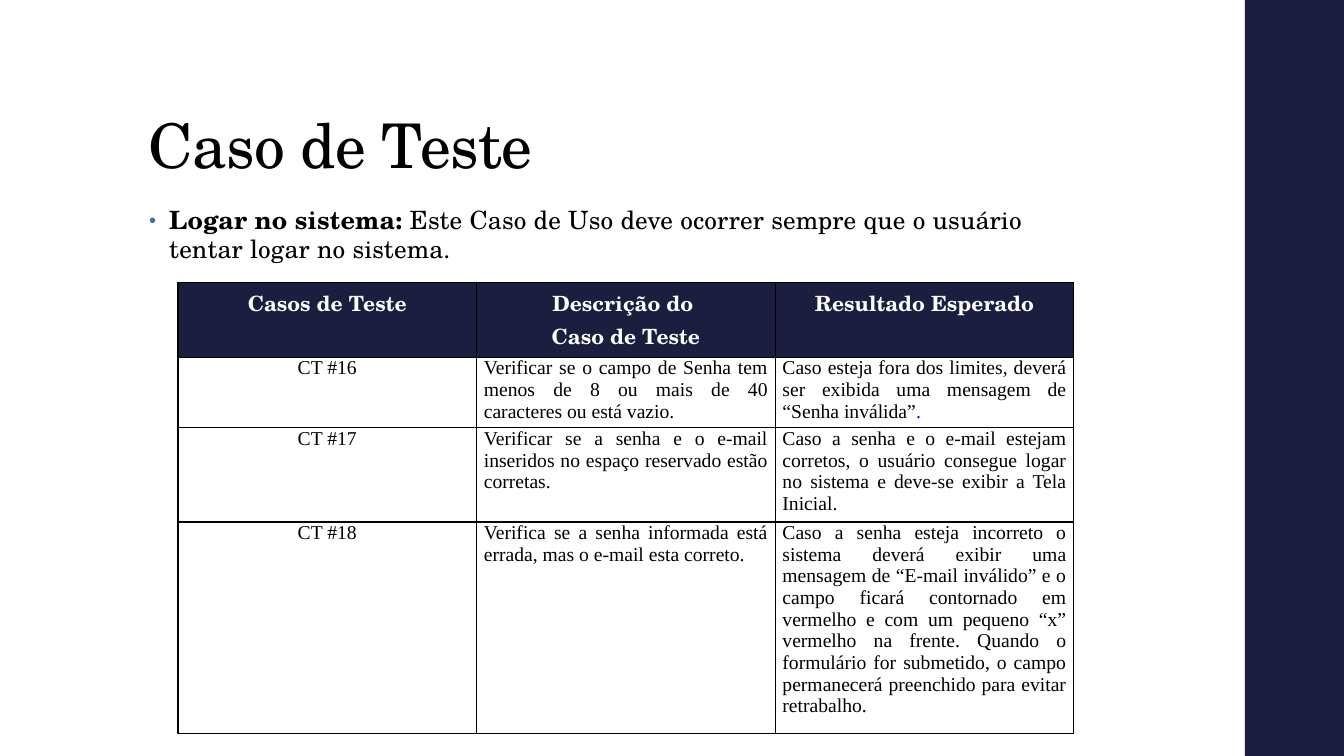
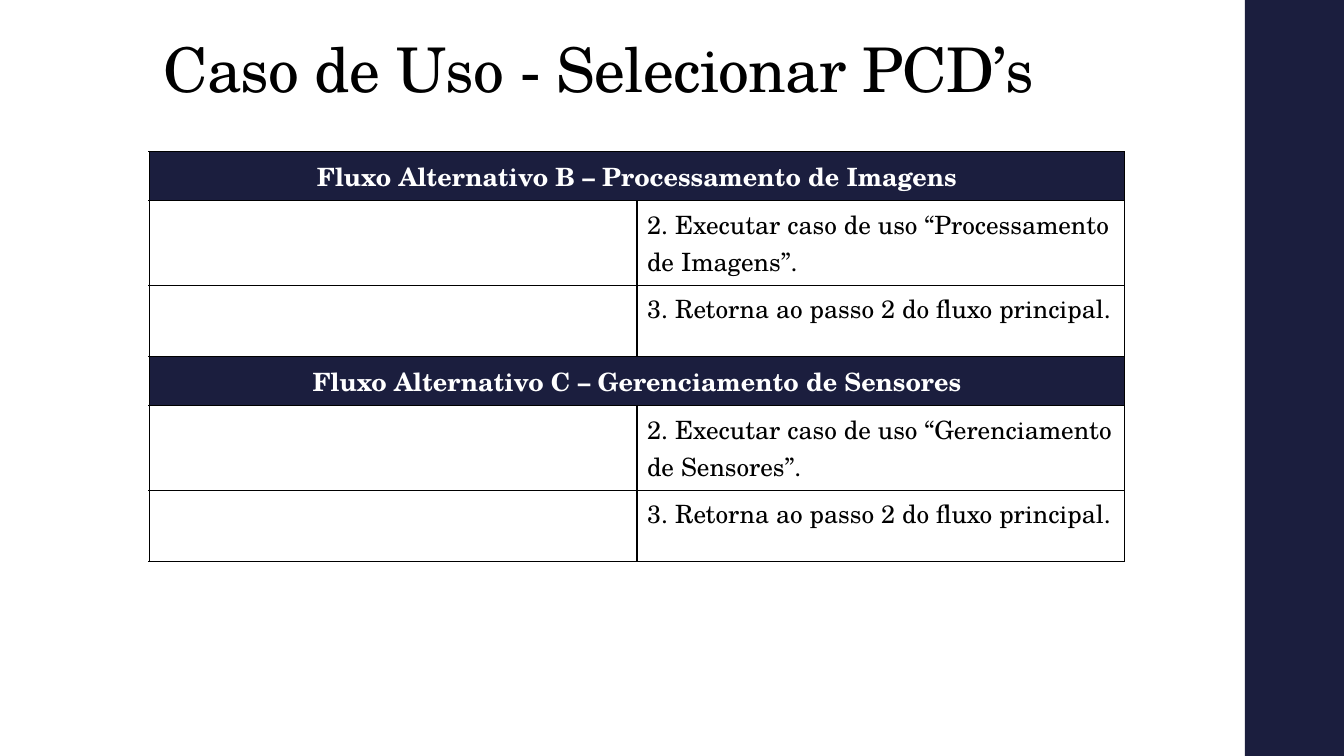
from lxml import etree
from pptx import Presentation
from pptx.dml.color import RGBColor
from pptx.enum import shapes, text
from pptx.oxml import ns
from pptx.util import Pt

NAVY, WHITE, BLACK, BLUE, LINK = "1B1E3E", "FFFFFF", "000000", "4A66AC", "0000FF"
SERIF, TIMES = "TeX Gyre Schola", "Times New Roman"
LEFT, MID, JUST = text.PP_ALIGN.LEFT, text.PP_ALIGN.CENTER, text.PP_ALIGN.JUSTIFY
WIDE, HIGH, BAND = 960, 540, 70.8


def color(code):
    return RGBColor.from_string(code)


def node(top, tag, **attrs):
    item = etree.SubElement(top, ns.qn(tag))
    for key, value in attrs.items():
        item.set(key, str(value))
    return item


def write(frame, paras, size=18, face=SERIF, ink=BLACK, bold=False,
          align=LEFT, line=None, track=0, bullet=None):
    """Each paragraph is a string or a list of (string, changes) runs."""
    for i, runs in enumerate(paras):
        para = frame.paragraphs[0] if i == 0 else frame.add_paragraph()
        para.alignment, para.line_spacing = align, line
        if bullet:
            props = para._p.get_or_add_pPr()
            props.set("marL", str(Pt(14.4)))
            props.set("indent", str(-Pt(14.4)))
            node(node(props, "a:buClr"), "a:srgbClr", val=bullet)
            node(props, "a:buSzPct", val=80000)
            node(props, "a:buFont", typeface="Arial")
            node(props, "a:buChar", char="•")
        for words, diff in [(runs, {})] if isinstance(runs, str) else runs:
            run = para.add_run()
            run.text = words
            font = run.font
            font.size, font.name = Pt(size), face
            font.bold = diff.get("bold", bold)
            font.color.rgb = color(diff.get("ink", ink))
            if track:
                run._r.get_or_add_rPr().set("spc", str(track))


class Deck:
    # Cell formats
    BAR = dict(ink=WHITE, bold=True, align=MID)
    TOP = dict(BAR, size=15)
    CODE = dict(size=14, face=TIMES, align=MID)
    NOTE = dict(CODE, align=JUST)

    def __init__(self):
        self.prs = Presentation()
        self.prs.slide_width, self.prs.slide_height = Pt(WIDE), Pt(HIGH)

    def slide(self, title, x, y, w, h):
        """Start a slide with its side band and title."""
        self.page = self.prs.slides.add_slide(self.prs.slide_layouts[5])
        band = self.page.shapes.add_shape(
            shapes.MSO_SHAPE.RECTANGLE, Pt(WIDE - BAND), 0, Pt(BAND), Pt(HIGH))
        band.shadow.inherit = False
        band.fill.solid()
        band.fill.fore_color.rgb = color(NAVY)
        band.line.fill.background()
        head = self.page.shapes.title
        head.left, head.top, head.width, head.height = map(Pt, (x, y, w, h))
        frame = head.text_frame
        frame.word_wrap = True
        frame.auto_size = text.MSO_AUTO_SIZE.NONE
        frame.vertical_anchor = text.MSO_ANCHOR.BOTTOM
        write(frame, [title], size=44, line=0.9, track=-50)

    def body(self, paras, x, y, w, h):
        box = self.page.shapes.add_textbox(*map(Pt, (x, y, w, h)))
        box.text_frame.word_wrap = True
        write(box.text_frame, paras, line=0.95, track=10, bullet=BLUE)

    def table(self, x, y, w, cols, rows):
        """Rows are (height, list of cells)."""
        high = sum(row[0] for row in rows)
        grid = self.page.shapes.add_table(
            len(rows), cols, *map(Pt, (x, y, w, high))).table
        grid.first_row = grid.horz_banding = False
        for col in grid.columns:
            col.width = Pt(w / cols)
        for r, (tall, _) in enumerate(rows):
            grid.rows[r].height = Pt(tall)
        return grid

    def cell(self, cell, paras=(), fill=WHITE, tight=False, **form):
        props = cell._tc.get_or_add_tcPr()
        for side in "LRTB":
            edge = node(props, "a:ln" + side, w=Pt(1))
            node(node(edge, "a:solidFill"), "a:srgbClr", val=BLACK)
        cell.fill.solid()
        cell.fill.fore_color.rgb = color(fill)
        if tight:
            cell.margin_left = cell.margin_right = Pt(5.2)
            cell.margin_top = cell.margin_bottom = 0
        write(cell.text_frame, paras, **form)

    def cases(self, x, y, w, heads, rows):
        """Table of test cases: code, description, result."""
        grid = self.table(x, y, w, len(heads), [(53.6, heads)] + rows)
        for c, paras in enumerate(heads):
            self.cell(grid.cell(0, c), paras, NAVY, **self.TOP)
        for r, (_, items) in enumerate(rows, 1):
            for c, item in enumerate(items):
                form = self.NOTE if c else self.CODE
                self.cell(grid.cell(r, c), [item], tight=True, **form)

    def flows(self, x, y, w, flows):
        """Table of flows: a merged heading, then steps on the right."""
        rows = [row for name, steps in flows
                for row in [(35, name)] + steps]
        names = [name for name, _ in flows]
        grid = self.table(x, y, w, 2, rows)
        for r, (_, words) in enumerate(rows):
            left, right = grid.cell(r, 0), grid.cell(r, 1)
            if words in names:
                left.merge(right)
                self.cell(left, [words], NAVY, **self.BAR)
                self.cell(right, fill=NAVY)
            else:
                self.cell(left)
                self.cell(right, [words])


def main():
    deck = Deck()

    # Test cases
    deck.slide("Caso de Teste", 99.2, 28.8, 763.2, 104.4)
    deck.body([[("Logar no sistema:", {"bold": True}),
                (" Este Caso de Uso deve ocorrer sempre que o usuário "
                 "tentar logar no sistema.", {})]], 99.4, 144, 676.8, 50)
    deck.cases(127.1, 201.6, 640, [
        ["Casos de Teste"],
        ["Descrição do ", "Caso de Teste"],
        ["Resultado Esperado"],
    ], [
        (46.4, ["CT #16",
                "Verificar se o campo de Senha tem menos de 8 ou mais de 40 "
                "caracteres ou está vazio.",
                [("Caso esteja fora dos limites, deverá ser exibida uma "
                  "mensagem de “Senha inválida”", {}), (".", {"ink": LINK})]]),
        (62, ["CT #17",
              "Verificar se a senha e o e-mail inseridos no espaço reservado "
              "estão corretas.",
              "Caso a senha e o e-mail estejam corretos, o usuário consegue "
              "logar no sistema e deve-se exibir a Tela Inicial."]),
        (139.4, ["CT #18",
                 "Verifica se a senha informada está errada, mas o e-mail "
                 "esta correto.",
                 "Caso a senha esteja incorreto o sistema deverá exibir uma "
                 "mensagem de “E-mail inválido” e o campo ficará contornado "
                 "em vermelho e com um pequeno “x” vermelho na frente. Quando "
                 "o formulário for submetido, o campo permanecerá preenchido "
                 "para evitar retrabalho."]),
    ])

    # Alternative flows
    deck.slide("Caso de Uso - Selecionar PCD’s", 109.4, 18, 649.4, 61.2)
    deck.flows(106.5, 108.4, 697, [
        (f"Fluxo Alternativo {key} – {name}",
         [(60.4, f"2. Executar caso de uso “{name}”."),
          (50.8, "3. Retorna ao passo 2 do fluxo principal.")])
        for key, name in [("B", "Processamento de Imagens"),
                          ("C", "Gerenciamento de Sensores")]
    ])

    deck.prs.save("out.pptx")


if __name__ == "__main__":
    main()
